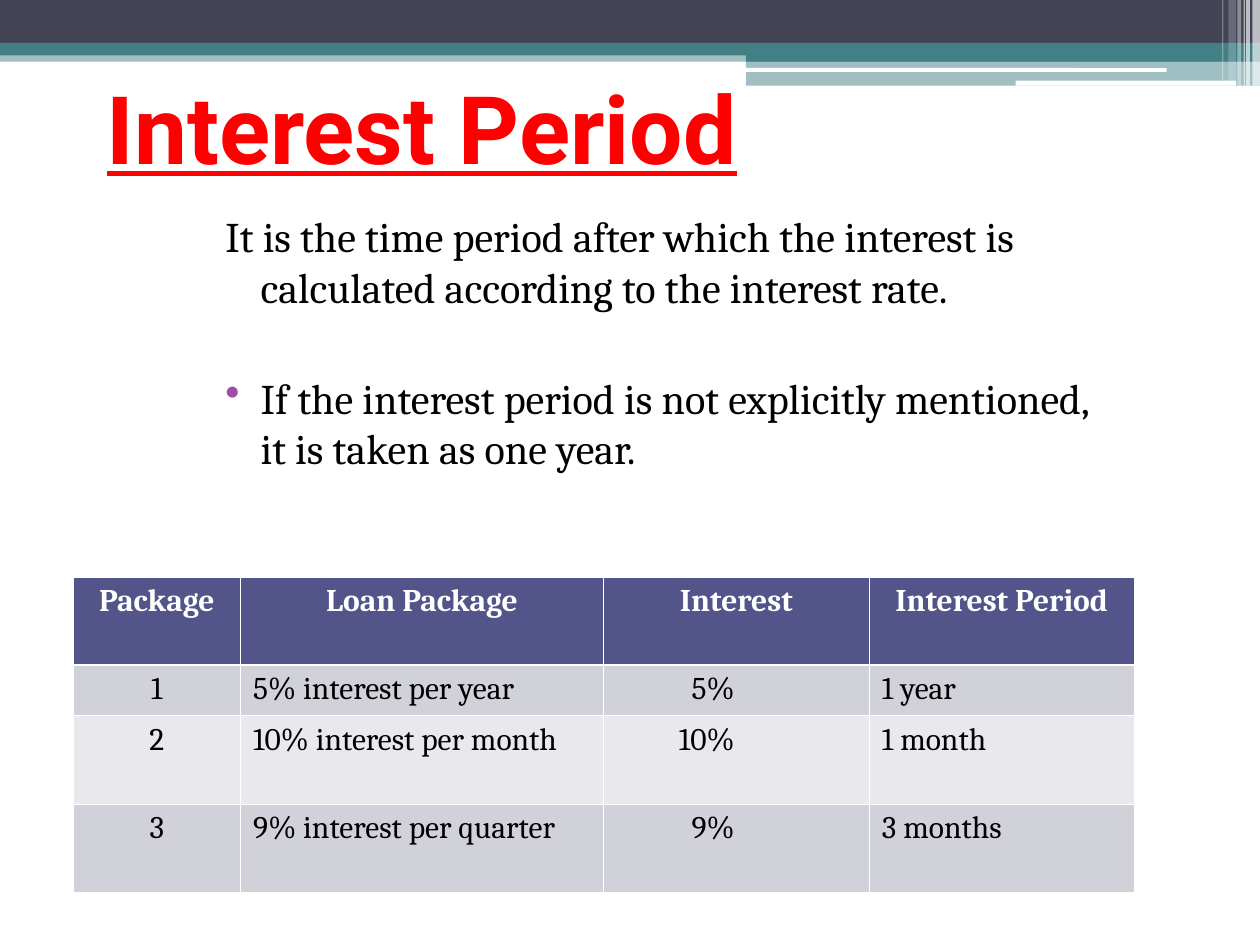
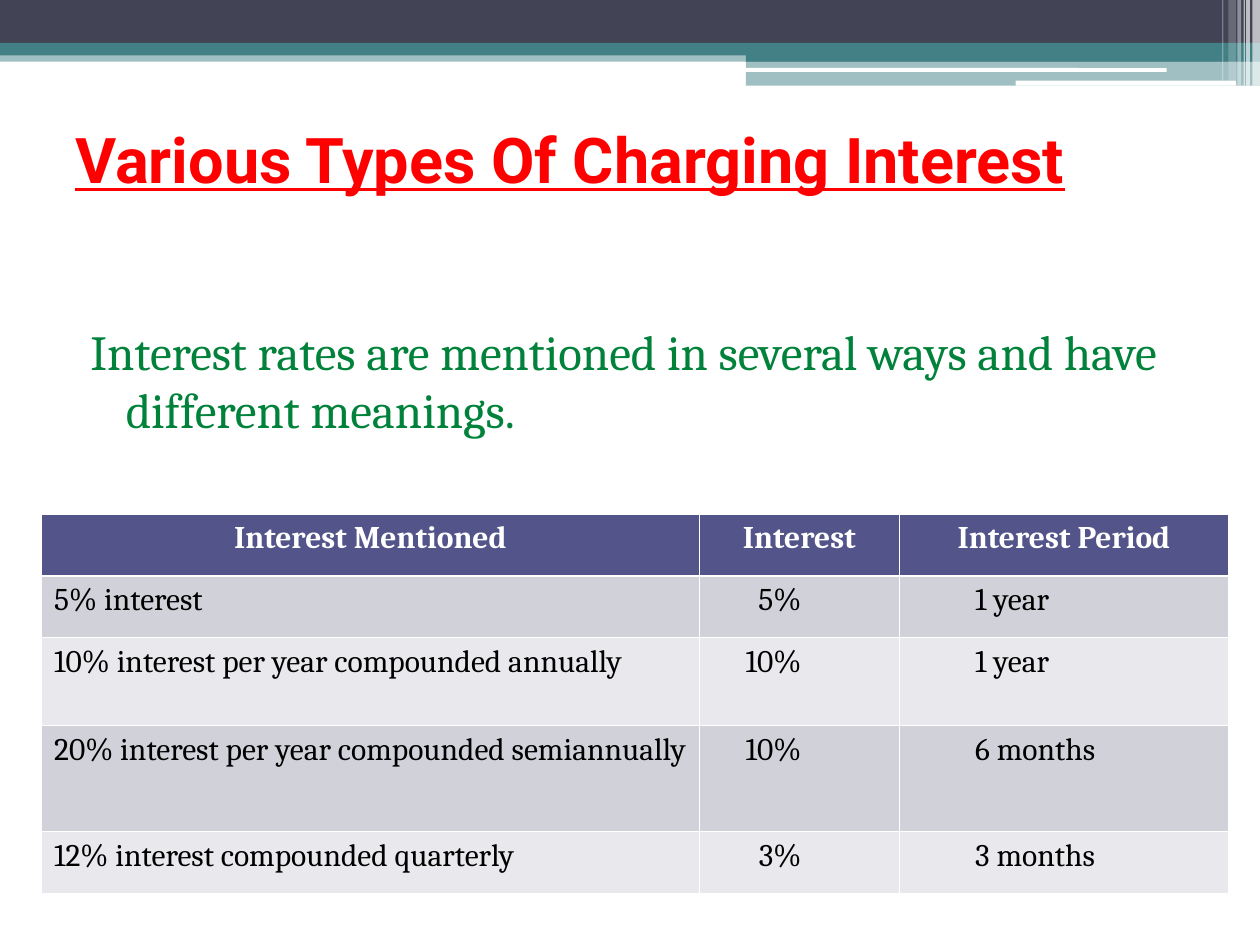
import pptx
import pptx.dml.color
import pptx.enum.shapes
import pptx.enum.text
import pptx.oxml
import pptx.oxml.ns
import pptx.util
from lxml import etree

Inches = pptx.util.Inches
Pt = pptx.util.Pt
ALIGN = pptx.enum.text.PP_ALIGN
ANCHOR = pptx.enum.text.MSO_ANCHOR
SHAPE = pptx.enum.shapes.MSO_SHAPE
qn = pptx.oxml.ns.qn

NAVY, TEAL, WHITE, BLACK = "424456", "438086", "FFFFFF", "000000"
RED, GREEN, PURPLE = "FF0000", "00823B", "A04DA3"
HEADER_FILL, ROW_FILLS = "53548A", ("D1D1DA", "E9E9ED")
HEADING_FONT, BODY_FONT = "Roboto", "Cambria"
THIN, THICK = 0.45, 1.47
HANGING = 0.28

# left, top, width, height, colour, opacity in percent
BANDS = [
    (0, 0.4, 10, 0.09, TEAL, 50),
    (0, 0, 10, 0.34, NAVY, 100),
    (0, 0.34, 10, 0.1, TEAL, 100),
    (5.92, 0.39, 4.08, 0.1, TEAL, 100),
    (5.92, 0.48, 4.08, 0.2, TEAL, 50),
]
RULES = [(5.91, 0.54, 3.35, 0.03, WHITE, 100), (8.06, 0.64, 1.75, 0.04, WHITE, 100)]
# left, width, height, opacity in percent
STRIPES = [
    (9.94, 0.06, 0.68, 65),
    (9.89, 0.03, 0.68, 65),
    (9.87, 0.01, 0.68, 60),
    (9.82, 0.03, 0.68, 40),
    (9.75, 0.06, 0.64, 20),
    (9.7, 0.01, 0.64, 30),
]


def colour(hex_code):
    return pptx.dml.color.RGBColor.from_string(hex_code)


def apply_format(target, **values):
    for name, value in values.items():
        setattr(target, name, value)


def write_span(para, text, size, hex_code, font=BODY_FONT, **styles):
    span = para.add_run()
    span.text = text
    apply_format(span.font, size=Pt(size), name=font, **styles)
    span.font.color.rgb = colour(hex_code)


def add_bar(page, kind, left, top, width, height, hex_code, opacity):
    bar = page.shapes.add_shape(
        kind, Inches(left), Inches(top), Inches(width), Inches(height))
    bar.shadow.inherit = False
    bar.line.fill.background()
    bar.fill.solid()
    bar.fill.fore_color.rgb = colour(hex_code)
    if opacity < 100:
        rgb = next(bar.fill._xPr.iter(qn("a:srgbClr")))
        etree.SubElement(rgb, qn("a:alpha"), val=str(opacity * 1000))


def add_page(deck):
    """Add a blank slide with the shared band across its top."""
    page = deck.slides.add_slide(deck.slide_layouts[6])
    for band in BANDS:
        add_bar(page, SHAPE.RECTANGLE, *band)
    for rule in RULES:
        add_bar(page, SHAPE.ROUNDED_RECTANGLE, *rule)
    for left, width, height, opacity in STRIPES:
        add_bar(page, SHAPE.RECTANGLE, left, 0, width, height, WHITE, opacity)
    return page


def add_text_frame(page, left, top, width, height):
    box = page.shapes.add_textbox(
        Inches(left), Inches(top), Inches(width), Inches(height))
    box.text_frame.word_wrap = True
    return box.text_frame


def add_title(page, text, left, top, size):
    frame = add_text_frame(page, left, top, 9, 1.17)
    frame.vertical_anchor = ANCHOR.MIDDLE
    write_span(frame.paragraphs[0], text, size, RED, HEADING_FONT,
               bold=True, underline=True)


def add_hanging_para(para, text, size, hex_code, bulleted=False):
    properties = para._p.get_or_add_pPr()
    properties.set("marL", str(Inches(0.4)))
    properties.set("indent", str(Inches(-HANGING)))
    if bulleted:
        bullet_colour = etree.SubElement(properties, qn("a:buClr"))
        etree.SubElement(bullet_colour, qn("a:srgbClr"), val=PURPLE)
        etree.SubElement(properties, qn("a:buChar"), char="•")
    write_span(para, text, size, hex_code)


def set_borders(cell, top, bottom):
    """Draw white cell borders; top and bottom are widths in points."""
    properties = cell._tc.get_or_add_tcPr()
    sides = (("L", THIN), ("R", THIN), ("T", top), ("B", bottom))
    for position, (side, width) in enumerate(sides):
        line = etree.Element(qn(f"a:ln{side}"), w=str(Pt(width)))
        fill = etree.SubElement(line, qn("a:solidFill"))
        etree.SubElement(fill, qn("a:srgbClr"), val=WHITE)
        properties.insert(position, line)


def fill_cell(cell, text, row, align, margins):
    is_header = row == 0
    cell.fill.solid()
    cell.fill.fore_color.rgb = colour(
        HEADER_FILL if is_header else ROW_FILLS[(row - 1) % 2])
    set_borders(cell, THICK if row == 1 else THIN, THICK if is_header else THIN)
    if is_header:
        align, margins = ALIGN.CENTER, (0.1, 0.1)
    cell.margin_left, cell.margin_right = map(Inches, margins)
    para = cell.text_frame.paragraphs[0]
    para.alignment = align
    write_span(para, text, 18, WHITE if is_header else BLACK, bold=is_header)


def add_rate_table(page, left, top, columns, heights, rows):
    """Each column is (width, alignment, left margin, right margin)."""
    width = sum(column[0] for column in columns)
    table = page.shapes.add_table(
        len(rows), len(columns), Inches(left), Inches(top),
        Inches(width), Inches(sum(heights))).table
    for index, column in enumerate(columns):
        table.columns[index].width = Inches(column[0])
    for row, (height, texts) in enumerate(zip(heights, rows)):
        table.rows[row].height = Inches(height)
        for index, text in enumerate(texts):
            _, align, *margins = columns[index]
            fill_cell(table.cell(row, index), text, row, align, margins)


def build_interest_period(deck):
    page = add_page(deck)
    add_title(page, "Interest Period", 0.75, 0.42, 54)
    frame = add_text_frame(page, 1.57, 1.62, 7.35, 2.38)
    add_hanging_para(
        frame.paragraphs[0],
        "It is the time period after which the interest is calculated "
        "according to the interest rate.", 24.1, BLACK)
    note = frame.add_paragraph()
    add_hanging_para(
        note,
        "If the interest period is not explicitly mentioned, "
        "it is taken as one year.", 24.1, BLACK, bulleted=True)
    note.space_before = Pt(34.5)
    columns = [
        (1.33, ALIGN.CENTER, 0.1, 0.1),
        (2.88, ALIGN.LEFT, 0.1, 0.1),
        (2.11, ALIGN.RIGHT, 0.1, 1.07),
        (2.1, ALIGN.LEFT, 0.1, 0.1),
    ]
    add_rate_table(page, 0.58, 4.58, columns, [0.7, 0.4, 0.7, 0.7], [
        ("Package", "Loan Package", "Interest", "Interest Period"),
        ("1", "5% interest per year", "5%", "1 year"),
        ("2", "10% interest per month", "10%", "1 month"),
        ("3", "9% interest per quarter", "9%", "3 months"),
    ])


def build_charging_types(deck):
    page = add_page(deck)
    add_title(page, "Various Types Of Charging Interest", 0.5, 0.67, 36)
    frame = add_text_frame(page, 0.5, 2.5, 9, 1.17)
    add_hanging_para(
        frame.paragraphs[0],
        "Interest rates are mentioned in several ways and have "
        "different meanings.", 28, GREEN)
    columns = [
        (5.22, ALIGN.LEFT, 0.1, 0.1),
        (1.59, ALIGN.RIGHT, 0.1, 0.78),
        (2.61, ALIGN.LEFT, 0.6, 0.1),
    ]
    add_rate_table(page, 0.33, 4.08, columns, [0.49, 0.49, 0.7, 0.84, 0.49], [
        ("Interest Mentioned", "Interest", "Interest Period"),
        ("5% interest", "5%", "1 year"),
        ("10% interest per year compounded annually", "10%", "1 year"),
        ("20% interest per year compounded semiannually", "10%", "6 months"),
        ("12% interest compounded quarterly", "3%", "3 months"),
    ])


def main():
    deck = pptx.Presentation()
    apply_format(deck, slide_width=Inches(10), slide_height=Inches(7.5))
    build_interest_period(deck)
    build_charging_types(deck)
    deck.save("out.pptx")


if __name__ == "__main__":
    main()
